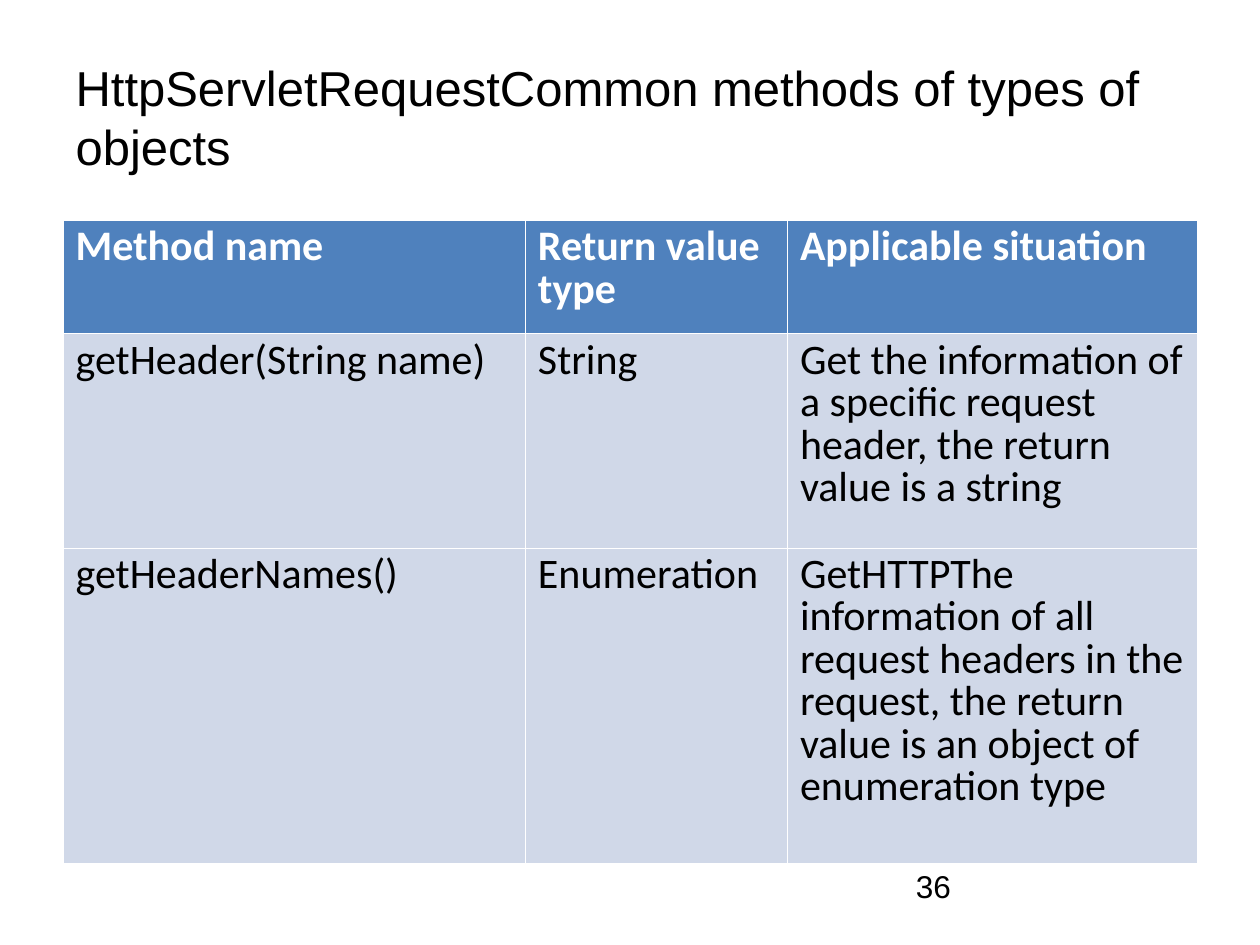
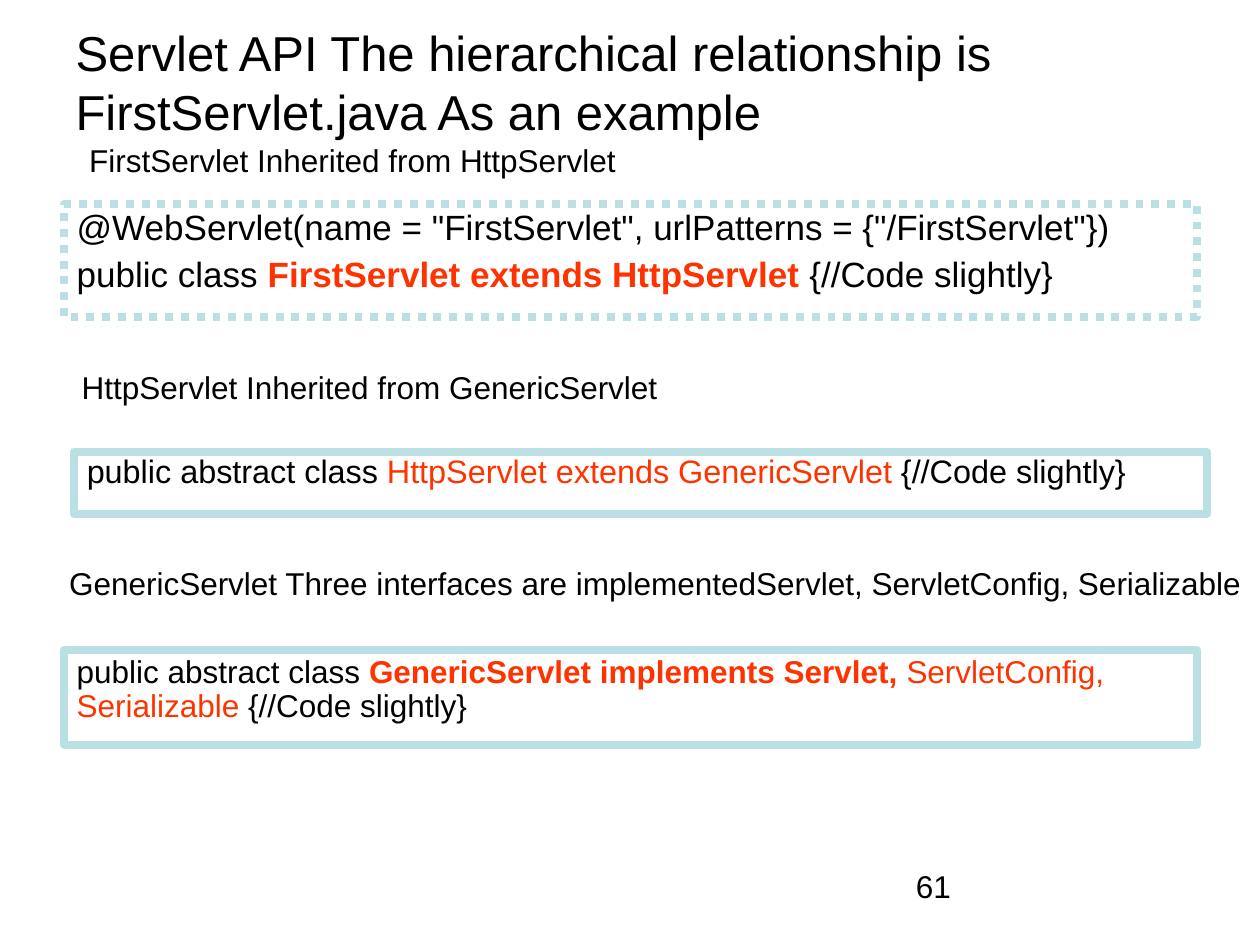
from dataclasses import dataclass

from lxml.etree import SubElement
from pptx import Presentation
from pptx.dml.color import RGBColor
from pptx.enum.dml import MSO_LINE
from pptx.enum.shapes import MSO_SHAPE
from pptx.enum.text import MSO_ANCHOR, MSO_AUTO_SIZE, PP_ALIGN
from pptx.oxml.ns import qn
from pptx.util import Emu, Pt

PX = 9144  # 100 px to the inch
COLORS = {
    "text": "000000",
    "white": "FFFFFF",
    "header": "4F81BD",
    "body": "D0D8E8",
    "frame": "BBE0E3",
    "accent": "FF3300",
}
FRAME_FORMAT = {"vertical_anchor": MSO_ANCHOR.TOP, "word_wrap": True}
TITLE_FORMAT = {
    "vertical_anchor": MSO_ANCHOR.MIDDLE,
    "word_wrap": True,
    "auto_size": MSO_AUTO_SIZE.NONE,
}
LABEL_FORMAT = {"word_wrap": False, "auto_size": MSO_AUTO_SIZE.SHAPE_TO_FIT_TEXT}
HAIRLINE, RULE = 0.23, 0.75


@dataclass(frozen=True)
class Box:
    x: int
    y: int
    w: int
    h: int

    def emu(self) -> list[Emu]:
        return [Emu(v * PX) for v in (self.x, self.y, self.w, self.h)]


@dataclass(frozen=True)
class Run:
    text: str
    color: str = "text"
    bold: bool = False


@dataclass(frozen=True)
class Style:
    size: float
    font: str = "Arial"
    line_spacing: float = 1.0
    gap: float = 0


@dataclass(frozen=True)
class CodeBox:
    box: Box
    style: Style
    lines: list[list[Run]]
    dash: MSO_LINE = MSO_LINE.SOLID


@dataclass(frozen=True)
class Label:
    box: Box
    text: str


TITLE_STYLE = Style(28)
LABEL_STYLE = Style(18)
CELL_STYLE = Style(24, "Calibri", 0.83)
NUMBER_BOX = Box(717, 683, 233, 52)

TABLE_BOX = Box(50, 175, 900, 510)
COL_WIDTHS = [367, 208, 325]
ROW_HEIGHTS = [90, 170, 250]
METHODS = [
    ["Method name", "Return value type", "Applicable situation"],
    ["getHeader(String name)", "String",
     "Get the information of a specific request header, the return value is a string"],
    ["getHeaderNames()", "Enumeration",
     "GetHTTPThe information of all request headers in the request, "
     "the return value is an object of enumeration type"],
]

CODE_TAIL = Run("{//Code slightly}")
CODE_BOXES = [
    CodeBox(Box(51, 162, 899, 90), Style(20, line_spacing=0.9, gap=5), [
        [Run('@WebServlet(name = "FirstServlet", urlPatterns = {"/FirstServlet"})')],
        [Run("public class "), Run("FirstServlet extends HttpServlet ", "accent", True),
         CODE_TAIL],
    ], MSO_LINE.ROUND_DOT),
    CodeBox(Box(59, 359, 899, 49), Style(18.5, line_spacing=0.8), [
        [Run("public abstract class "),
         Run("HttpServlet extends GenericServlet ", "accent"), CODE_TAIL],
    ]),
    CodeBox(Box(51, 516, 899, 75), Style(18, line_spacing=0.9), [
        [Run("public abstract class "),
         Run("GenericServlet implements Servlet, ", "accent", True),
         Run("ServletConfig, Serializable ", "accent"), CODE_TAIL],
    ]),
]
LABELS = [
    Label(Box(61, 107, 445, 40), "FirstServlet Inherited from HttpServlet"),
    Label(Box(55, 287, 484, 40), "HttpServlet Inherited from GenericServlet"),
    Label(Box(45, 443, 958, 40),
          "GenericServlet Three interfaces are implementedServlet, "
          "ServletConfig, Serializable"),
]


def rgb(name: str) -> RGBColor:
    return RGBColor.from_string(COLORS[name])


def set_attrs(target, values: dict) -> None:
    for name, value in values.items():
        setattr(target, name, value)


def write(tf, lines: list[list[Run]], style: Style) -> None:
    for i, runs in enumerate(lines):
        p = tf.add_paragraph() if i else tf.paragraphs[0]
        set_attrs(p, {
            "alignment": PP_ALIGN.LEFT,
            "line_spacing": style.line_spacing,
            "space_before": Pt(style.gap if i else 0),
        })
        for run in runs:
            r = p.add_run()
            r.text = run.text
            set_attrs(r.font, {"name": style.font, "size": Pt(style.size),
                               "bold": run.bold})
            r.font.color.rgb = rgb(run.color)


def add_text(s, box: Box, text: str, text_format: dict) -> None:
    tf = s.shapes.add_textbox(*box.emu()).text_frame
    set_attrs(tf, text_format)
    write(tf, [[Run(text)]], LABEL_STYLE)


def add_slide(prs, title: str, title_box: Box, number: int):
    """Add a title-only slide with its heading and page number."""
    s = prs.slides.add_slide(prs.slide_layouts[5])
    sp = s.shapes.title
    set_attrs(sp, dict(zip(("left", "top", "width", "height"), title_box.emu())))
    set_attrs(sp.text_frame, TITLE_FORMAT)
    write(sp.text_frame, [[Run(title)]], TITLE_STYLE)
    add_text(s, NUMBER_BOX, str(number), FRAME_FORMAT)
    return s


def set_borders(cell, widths: dict[str, float]) -> None:
    tc_pr = cell._tc.get_or_add_tcPr()
    for side, width in widths.items():
        ln = SubElement(tc_pr, qn(f"a:ln{side}"), w=str(int(Pt(width))))
        fill = SubElement(ln, qn("a:solidFill"))
        SubElement(fill, qn("a:srgbClr"), val=COLORS["white"])


def add_method_table(s) -> None:
    table = s.shapes.add_table(len(METHODS), len(COL_WIDTHS), *TABLE_BOX.emu()).table
    set_attrs(table, {"first_row": False, "horz_banding": False})
    for column, width in zip(table.columns, COL_WIDTHS):
        column.width = Emu(width * PX)
    for i, (row, height, texts) in enumerate(zip(table.rows, ROW_HEIGHTS, METHODS)):
        row.height = Emu(height * PX)
        header = i == 0
        for cell, text in zip(row.cells, texts):
            set_borders(cell, {"L": HAIRLINE, "R": HAIRLINE,
                               "T": RULE if i == 1 else HAIRLINE,
                               "B": RULE if header else HAIRLINE})
            cell.fill.solid()
            cell.fill.fore_color.rgb = rgb("header" if header else "body")
            run = Run(text, "white" if header else "text", header)
            write(cell.text_frame, [[run]], CELL_STYLE)


def add_code_box(s, code: CodeBox) -> None:
    sp = s.shapes.add_shape(MSO_SHAPE.RECTANGLE, *code.box.emu())
    sp.shadow.inherit = False
    sp.fill.background()
    sp.line.color.rgb = rgb("frame")
    set_attrs(sp.line, {"width": Pt(4.5), "dash_style": code.dash})
    set_attrs(sp.text_frame, FRAME_FORMAT)
    write(sp.text_frame, code.lines, code.style)


def main() -> None:
    prs = Presentation()
    set_attrs(prs, {"slide_width": Emu(1000 * PX), "slide_height": Emu(750 * PX)})

    s = add_slide(prs, "HttpServletRequestCommon methods of types of objects",
                  Box(50, 30, 900, 125), 36)
    add_method_table(s)

    s = add_slide(prs, "Servlet API The hierarchical relationship is "
                       "FirstServlet.java As an example", Box(50, 30, 900, 69), 61)
    for code in CODE_BOXES:
        add_code_box(s, code)
    for label in LABELS:
        add_text(s, label.box, label.text, LABEL_FORMAT)

    prs.save("out.pptx")


if __name__ == "__main__":
    main()
